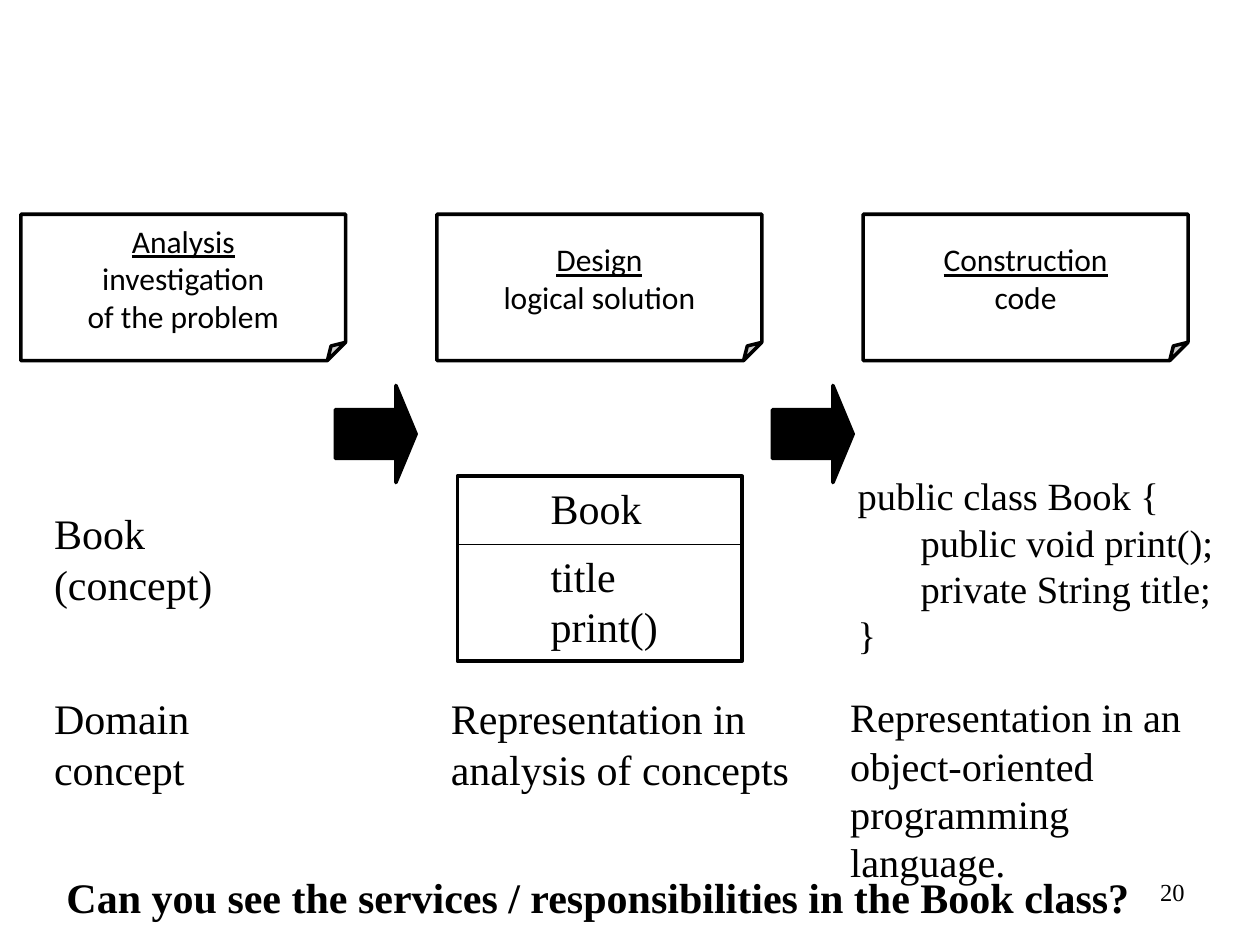
from dataclasses import dataclass
from lxml.etree import SubElement
from pptx import Presentation
from pptx.dml.color import RGBColor
from pptx.enum.shapes import MSO_CONNECTOR, MSO_SHAPE
from pptx.enum.text import MSO_ANCHOR, MSO_AUTO_SIZE, PP_ALIGN
from pptx.oxml.ns import qn
from pptx.util import Cm, Pt

BLACK, WHITE = "000000", "FFFFFF"
SERIF, SANS = "Times New Roman", "Calibri"
FRAME = {"word_wrap": False, "auto_size": MSO_AUTO_SIZE.SHAPE_TO_FIT_TEXT}
MID = {"word_wrap": False, "vertical_anchor": MSO_ANCHOR.MIDDLE}
FOLD = {"adj": 12500}
ARROW = {"adj1": 50000, "adj2": 25000}


@dataclass
class Box:
    left: float
    top: float
    width: float
    height: float

    def place(self) -> list:
        return [Cm(n) for n in (self.left, self.top, self.width, self.height)]


@dataclass
class Label:
    box: Box
    lines: list
    size: int = 24
    bold: bool = False
    inner: tuple = ()


@dataclass
class Stage:
    left: float
    title: str
    lines: list


def paint(part, color: str) -> None:
    part.solid()
    part.fore_color.rgb = RGBColor.from_string(color)


def apply(target, values: dict) -> None:
    for name, value in values.items():
        setattr(target, name, value)


def style(para, face: str, size: int, **more) -> None:
    apply(para.font, {"name": face, "size": Pt(size), **more})
    paint(para.font.fill, BLACK)


def write(frame, lines: list) -> list:
    frame.text = "\n".join(lines)
    return list(frame.paragraphs)


def draw_label(slide, label: Label) -> None:
    frame = slide.shapes.add_textbox(*label.box.place()).text_frame
    apply(frame, FRAME)
    for row, para in enumerate(write(frame, label.lines)):
        if row in label.inner:
            para.level = 1
            props = para._p.get_or_add_pPr()
            props.set("marL", str(Cm(1.27)))
            props.set("indent", "0")
        style(para, SERIF, label.size, bold=label.bold)


def draw_shape(slide, kind: MSO_SHAPE, box: Box, fill: str, guides: dict):
    shape = slide.shapes.add_shape(kind, *box.place())
    shape.shadow.inherit = False
    paint(shape.fill, fill)
    paint(shape.line.fill, BLACK)
    shape.line.width = Pt(2)
    values = shape._element.spPr.find(qn("a:prstGeom")).find(qn("a:avLst"))
    for old in list(values):
        values.remove(old)
    for name, value in guides.items():
        SubElement(values, qn("a:gd"), name=name, fmla=f"val {value}")
    return shape


def draw_stage(slide, stage: Stage) -> None:
    box = Box(stage.left, 4.32, 6.55, 2.95)
    frame = draw_shape(slide, MSO_SHAPE.FOLDED_CORNER, box, WHITE, FOLD).text_frame
    apply(frame, MID)
    for row, para in enumerate(write(frame, [stage.title, *stage.lines])):
        para.alignment = PP_ALIGN.CENTER
        style(para, SANS, 18, underline=row == 0)


def draw_rule(slide, left: float, right: float, top: float) -> None:
    rule = slide.shapes.add_connector(
        MSO_CONNECTOR.STRAIGHT, Cm(left), Cm(top), Cm(right), Cm(top))
    paint(rule.line.fill, BLACK)
    rule.line.width = Pt(0.75)
    SubElement(rule._element.spPr, qn("a:effectLst"))


def draw_number(slide, text: str) -> None:
    frame = slide.shapes.add_textbox(*Box(18.21, 17.35, 5.92, 1.27).place()).text_frame
    apply(frame, {**MID, "word_wrap": True})
    para = write(frame, [text])[0]
    para.alignment = PP_ALIGN.RIGHT
    style(para, SERIF, 14)


STAGES = [
    Stage(0.42, "Analysis", ["investigation", "of the problem"]),
    Stage(8.81, "Design", ["logical solution"]),
    Stage(17.4, "Construction", ["code"]),
]
LABELS = [
    Label(Box(10.85, 9.6, 2.44, 1.27), ["Book"]),
    Label(Box(10.85, 10.97, 2.72, 2.29), ["title", "print()"]),
    Label(Box(17.04, 9.4, 8, 3.99),
          ["public class Book {", "public void print();", "private String title;", "}"],
          22, inner=(1, 2)),
    Label(Box(0.84, 10.11, 3.71, 2.29), ["Book", "(concept)"]),
    Label(Box(0.84, 13.84, 6.07, 1.27), ["Domain concept"]),
    Label(Box(8.84, 13.84, 7.32, 2.29), ["Representation in", "analysis of concepts"]),
    Label(Box(16.89, 13.84, 8.26, 3.18),
          ["Representation in an", "object-oriented", "programming language."], 23),
    Label(Box(1.09, 17.45, 22.15, 1.3),
          ["Can you see the services / responsibilities in the Book class?"], bold=True),
]


def main() -> None:
    deck = Presentation()
    apply(deck, {"slide_width": Cm(25.4), "slide_height": Cm(19.05)})
    slide = deck.slides.add_slide(deck.slide_layouts[6])
    draw_number(slide, "20")
    draw_shape(slide, MSO_SHAPE.RECTANGLE, Box(9.22, 9.6, 5.74, 3.73), WHITE, {})
    draw_rule(slide, 9.22, 14.96, 10.97)
    for stage in STAGES:
        draw_stage(slide, stage)
    for left in (6.76, 15.57):
        draw_shape(slide, MSO_SHAPE.RIGHT_ARROW, Box(left, 7.77, 1.63, 1.96), BLACK, ARROW)
    for label in LABELS:
        draw_label(slide, label)
    deck.save("out.pptx")


if __name__ == "__main__":
    main()
